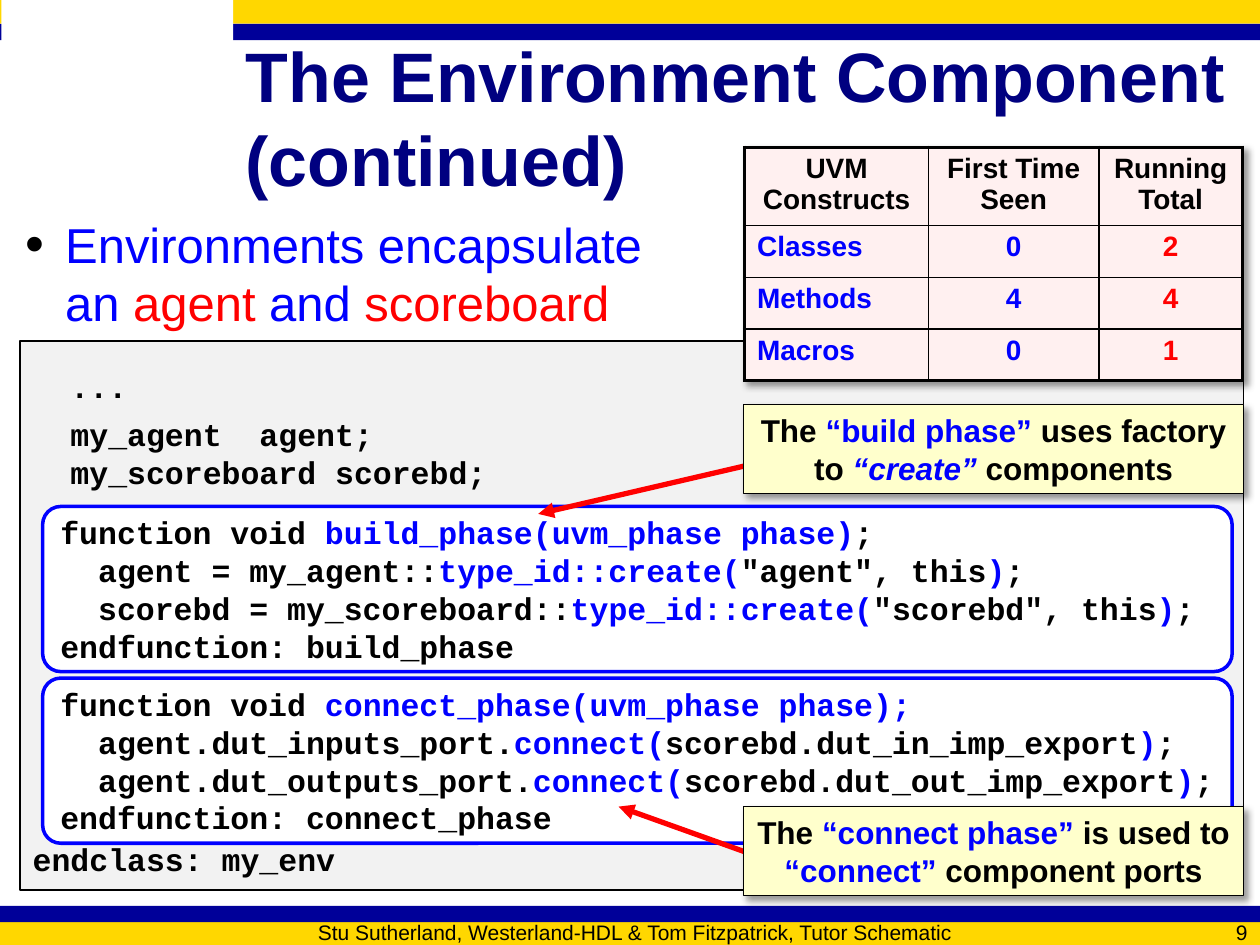
"""Build the slide about the environment component and its phases."""
from dataclasses import dataclass

from lxml import etree
from pptx import Presentation
from pptx import util as u
from pptx.dml.color import RGBColor
from pptx.enum import shapes, text
from pptx.oxml import ns


@dataclass(frozen=True)
class Theme:
    """Colours, fonts and type sizes of the slide."""
    gold: str = "FFD700"
    navy: str = "000099"
    title: str = "000080"
    blue: str = "0000FF"
    red: str = "FF0000"
    black: str = "000000"
    white: str = "FFFFFF"
    panel: str = "F2F2F2"
    note: str = "FFFFCC"
    cell: str = "FFF0F0"
    sans: str = "Arial"
    mono: str = "Courier New"
    title_size: int = 40
    body_size: int = 28
    text_size: int = 18
    table_size: int = 16
    footer_size: int = 12


THEME = Theme()

BUILD_CODE = [
    "function void |build_phase(uvm_phase phase)|;",
    '  agent = my_agent::|type_id::create(|"agent", this|)|;',
    '  scorebd = my_scoreboard::|type_id::create(|"scorebd", this|)|;',
    "endfunction: build_phase",
]
CONNECT_CODE = [
    "function void |connect_phase(uvm_phase phase);",
    "  agent.dut_inputs_port.|connect(|scorebd.dut_in_imp_export|)|;",
    "  agent.dut_outputs_port.|connect(|scorebd.dut_out_imp_export|)|;",
    "endfunction: connect_phase",
]
CONSTRUCTS = [
    ("UVM Constructs", "First Time Seen", "Running Total"),
    ("Classes", "0", "2"),
    ("Methods", "4", "4"),
    ("Macros", "0", "1"),
]


def rgb(value):
    """Turn a hex string into a colour."""
    return RGBColor.from_string(value)


def lengths(values):
    """Turn numbers in centimetres into lengths."""
    return [u.Cm(value) for value in values]


def add_element(parent, tag, **attributes):
    """Append a drawing element to an XML parent."""
    names = {name: str(value) for name, value in attributes.items()}
    return etree.SubElement(parent, ns.qn(tag), names)


def write(frame, lines, size, color=THEME.black, accent=THEME.blue, font=THEME.sans,
          bold=True, align=text.PP_ALIGN.LEFT, spacing=1.2):
    """Write lines in which every second part between bars is accented."""
    for index, line in enumerate(lines):
        paragraph = frame.paragraphs[0] if index == 0 else frame.add_paragraph()
        paragraph.alignment = align
        paragraph.line_spacing = u.Pt(round(size * spacing, 1))
        paragraph.space_before = u.Pt(0)
        for position, part in enumerate(line.split("|")):
            pieces = part.split("\v")
            for number, piece in enumerate(pieces):
                if number:
                    paragraph.add_line_break()
                run = paragraph.add_run()
                run.text = piece
                run.font.name, run.font.size, run.font.bold = font, u.Pt(size), bold
                run.font.color.rgb = rgb(accent if position % 2 else color)


def add_box(slide, box, fill, line=None, width=1, kind=shapes.MSO_SHAPE.RECTANGLE):
    """Add a flat filled shape, outlined when a line colour is given."""
    shape = slide.shapes.add_shape(kind, *lengths(box))
    shape.shadow.inherit = False
    shape.fill.solid()
    shape.fill.fore_color.rgb = rgb(fill)
    if line:
        shape.line.color.rgb = rgb(line)
        shape.line.width = u.Pt(width)
    else:
        shape.line.fill.background()
    return shape


def add_shadow(effects):
    """Put a soft shadow to the lower right into an effect list."""
    shadow = add_element(effects, "a:outerShdw", blurRad=u.Pt(4), dist=u.Pt(3),
                         dir=2700000, algn="tl", rotWithShape=0)
    color = add_element(shadow, "a:srgbClr", val=THEME.black)
    add_element(color, "a:alpha", val=40000)


def add_bars(slide):
    """Add the coloured bars at the top and bottom and the white corner."""
    for box, fill in [
        ((0, 0, 25.4, 0.48), THEME.gold), ((0, 0.48, 25.4, 0.33), THEME.navy),
        ((0.03, 0, 4.67, 2.74), THEME.white),
        ((0, 18.57, 25.4, 0.48), THEME.gold), ((0, 18.26, 25.4, 0.33), THEME.navy),
    ]:
        add_box(slide, box, fill)


def fill_placeholder(shape, box, anchor):
    """Move a placeholder and return its text frame."""
    shape.left, shape.top, shape.width, shape.height = lengths(box)
    frame = shape.text_frame
    frame.auto_size = text.MSO_AUTO_SIZE.NONE
    frame.vertical_anchor = anchor
    return frame


def add_heading(slide):
    """Fill the title and the bulleted statement."""
    title = fill_placeholder(slide.shapes.title, (4.7, 0.76, 20.32, 3.18),
                             text.MSO_ANCHOR.MIDDLE)
    write(title, ["The Environment Component\v(continued)"], THEME.title_size, THEME.title)
    body = fill_placeholder(slide.placeholders[1], (0.25, 4.19, 24.92, 13.94),
                            text.MSO_ANCHOR.TOP)
    properties = body.paragraphs[0]._p.get_or_add_pPr()
    properties.set("marL", str(u.Cm(0.81)))
    properties.set("indent", str(-u.Cm(0.81)))
    color = add_element(properties, "a:buClr")
    add_element(color, "a:srgbClr", val=THEME.black)
    add_element(properties, "a:buSzPct", val=110000)
    add_element(properties, "a:buFont", typeface=THEME.sans)
    add_element(properties, "a:buChar", char="•")
    write(body, ["Environments encapsulate\van |agent| and |scoreboard"],
          THEME.body_size, THEME.blue, THEME.red, bold=False)


def add_footer(slide, box, line, align):
    """Add a line of text on the bottom bar."""
    frame = slide.shapes.add_textbox(*lengths(box)).text_frame
    frame.word_wrap = True
    frame.margin_top = frame.margin_bottom = 0
    frame.vertical_anchor = text.MSO_ANCHOR.MIDDLE
    write(frame, [line], THEME.footer_size, bold=False, align=align)


def add_class_panel(slide):
    """Add the grey panel with the first and last lines of the class."""
    panel = add_box(slide, (0.41, 6.88, 24.66, 11.07), THEME.panel, THEME.black)
    frame = panel.text_frame
    frame.vertical_anchor = text.MSO_ANCHOR.TOP
    frame.margin_top = u.Cm(0.51)
    write(frame, ["  ...", "  my_agent  agent;", "  my_scoreboard scorebd;",
                  "endclass: my_env"], THEME.text_size, font=THEME.mono)
    frame.paragraphs[1].space_before = u.Pt(6)
    frame.paragraphs[3].space_before = u.Pt(200)


def add_phase(slide, top, lines):
    """Add a rounded box with the code of one phase."""
    shape = add_box(slide, (0.86, top, 23.98, 3.33), THEME.white, THEME.blue, 2,
                    shapes.MSO_SHAPE.ROUNDED_RECTANGLE)
    shape.adjustments[0] = 0.11
    shape.text_frame.word_wrap = False
    write(shape.text_frame, lines, THEME.text_size, font=THEME.mono)


def add_borders(cell, edges):
    """Draw the four borders of a cell, thick on the outer edges."""
    properties = cell._tc.get_or_add_tcPr()
    for side, outer in zip("LRTB", edges):
        line = add_element(properties, f"a:ln{side}", w=u.Pt(2.25 if outer else 1))
        add_element(add_element(line, "a:solidFill"), "a:srgbClr", val=THEME.black)


def add_constructs_table(slide):
    """Add the table that counts the constructs seen."""
    box = lengths((15.01, 2.97, 10.04, 4.7))
    table = slide.shapes.add_table(4, 3, *box).table
    effects = etree.Element(ns.qn("a:effectLst"))
    add_shadow(effects)
    table._tbl.tblPr.insert(0, effects)
    for column, width in zip(table.columns, lengths((3.71, 3.43, 2.9))):
        column.width = width
    for row, height in zip(table.rows, lengths((1.58, 1.04, 1.04, 1.04))):
        row.height = height
    for i, values in enumerate(CONSTRUCTS):
        for j, value in enumerate(values):
            cell = table.cell(i, j)
            add_borders(cell, (j == 0, j == 2, i == 0, i == 3))
            cell.fill.solid()
            cell.fill.fore_color.rgb = rgb(THEME.cell)
            color = (THEME.blue, THEME.blue, THEME.red)[j] if i else THEME.black
            align = text.PP_ALIGN.LEFT if i and j == 0 else text.PP_ALIGN.CENTER
            write(cell.text_frame, [value], THEME.table_size, color, align=align, spacing=1.1)


def add_callout(slide, top, line, start, end):
    """Add a red arrow and the note in front of its start; return the note."""
    arrow = slide.shapes.add_connector(shapes.MSO_CONNECTOR.STRAIGHT, *lengths(start + end))
    arrow.line.color.rgb = rgb(THEME.red)
    arrow.line.width = u.Pt(3)
    add_element(arrow.line._get_or_add_ln(), "a:tailEnd", type="triangle")
    add_element(arrow._element.spPr, "a:effectLst")
    note = add_box(slide, (14.99, top, 10.08, 1.8), THEME.note, THEME.black, 0.75)
    add_shadow(note._element.spPr.find(ns.qn("a:effectLst")))
    write(note.text_frame, [line], THEME.text_size, align=text.PP_ALIGN.CENTER)
    return note


def main():
    """Build and save the slide."""
    presentation = Presentation()
    presentation.slide_width, presentation.slide_height = lengths((25.4, 19.05))
    slide = presentation.slides.add_slide(presentation.slide_layouts[1])
    add_bars(slide)
    add_heading(slide)
    add_footer(slide, (3.18, 18.57, 19.25, 0.43),
               "Stu Sutherland, Westerland-HDL & Tom Fitzpatrick, Tutor Schematic",
               text.PP_ALIGN.CENTER)
    add_footer(slide, (22.86, 18.57, 2.54, 0.43), "9", text.PP_ALIGN.RIGHT)
    add_class_panel(slide)
    add_phase(slide, 10.21, BUILD_CODE)
    add_phase(slide, 13.67, CONNECT_CODE)
    add_constructs_table(slide)
    build_note = add_callout(
        slide, 8.15, "The |“build phase”| uses factory to |“create”| components",
        (15.54, 9.27), (10.85, 10.36))
    build_note.text_frame.paragraphs[0].runs[3].font.italic = True
    add_callout(
        slide, 16.26, "The |“connect phase” |is used to |“connect” |component ports",
        (15.57, 17.37), (12.47, 16.26))
    presentation.save("out.pptx")


if __name__ == "__main__":
    main()
